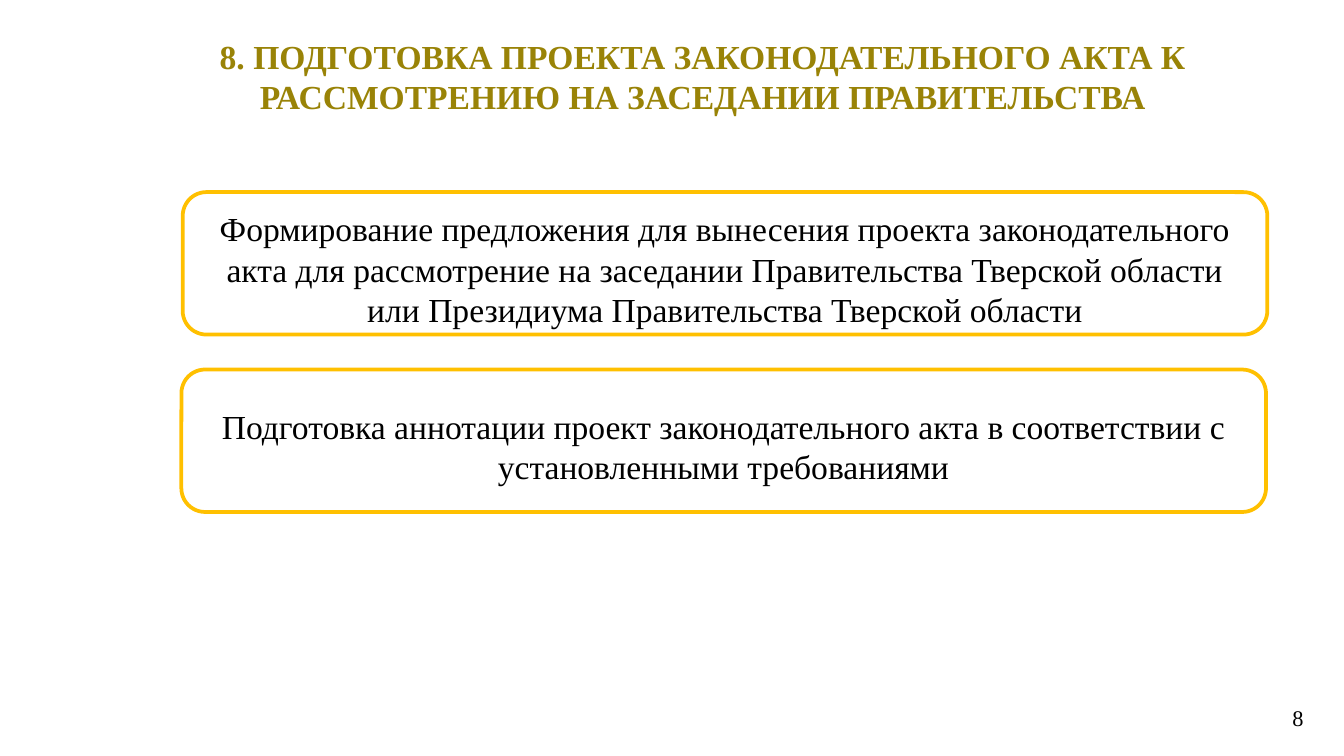
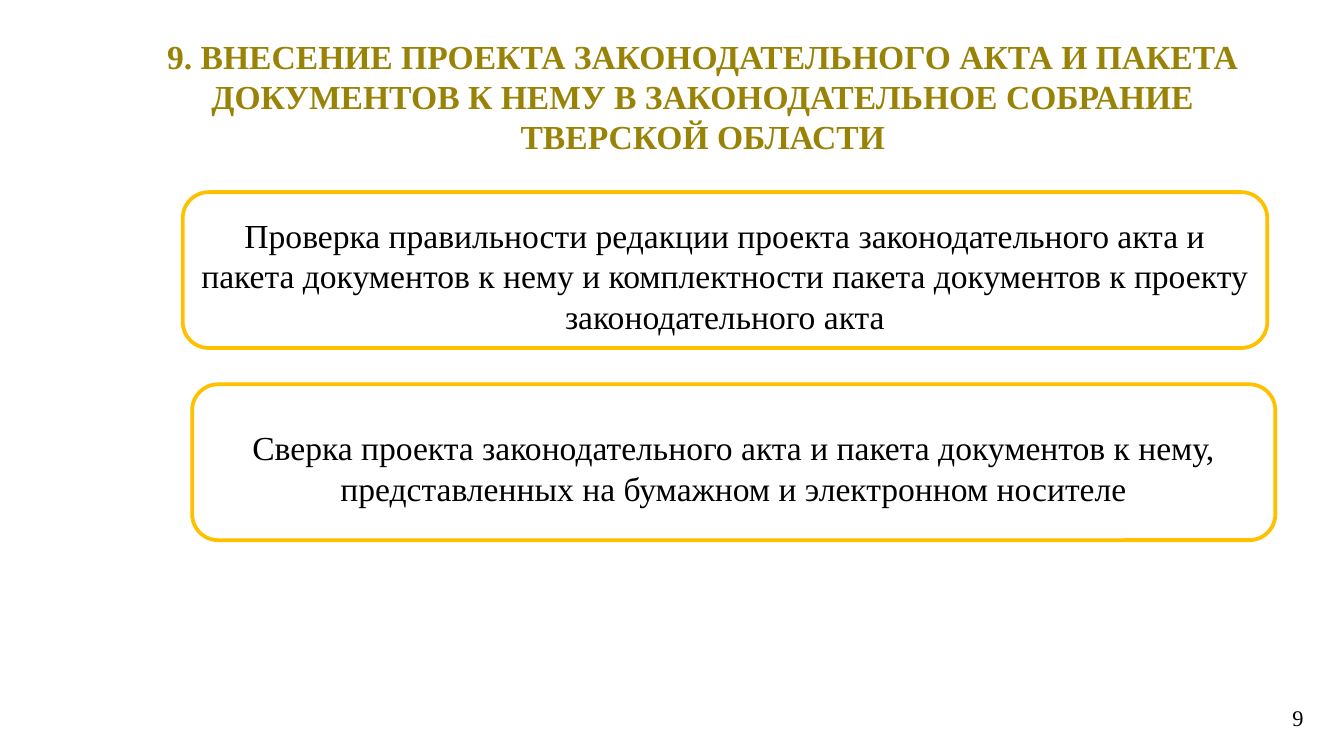
from dataclasses import dataclass

from pptx import Presentation
from pptx.dml.color import RGBColor
from pptx.enum.shapes import MSO_SHAPE
from pptx.enum.text import MSO_ANCHOR as Anchor, MSO_AUTO_SIZE as AutoSize, PP_ALIGN as Align
from pptx.util import Inches, Pt


@dataclass(frozen=True)
class Theme:
    """Colours, type and spacing shared by the slides."""
    font: str = "Times New Roman"
    title_color: RGBColor = RGBColor(0x99, 0x83, 0x07)
    text_color: RGBColor = RGBColor(0, 0, 0)
    border_color: RGBColor = RGBColor(0xFF, 0xC0, 0)
    text_size: Pt = Pt(18)
    number_size: Pt = Pt(12)
    border_width: Pt = Pt(2)
    side_inset: float = 0.07
    inset: float = 0.04


theme = Theme()


def place(shape, left, top, width, height):
    """Move and size a shape, in inches."""
    shape.left, shape.top = Inches(left), Inches(top)
    shape.width, shape.height = Inches(width), Inches(height)


def write(shape, text, size, color, align=Align.CENTER, anchor=Anchor.MIDDLE,
          bold=False, wrap=True, drop=0):
    """Write one styled paragraph; drop is extra inset above the text, in inches."""
    frame = shape.text_frame
    frame.text = text
    frame.word_wrap = wrap
    frame.auto_size = AutoSize.NONE
    frame.vertical_anchor = anchor
    frame.margin_left = frame.margin_right = Inches(theme.side_inset)
    frame.margin_top = Inches(theme.inset + drop)
    frame.margin_bottom = Inches(theme.inset)
    para = frame.paragraphs[0]
    para.alignment = align
    para.font.name = theme.font
    para.font.size = size
    para.font.bold = bold
    para.font.color.rgb = color


# Each page: number, title, extra inset above the title, boxes (place, text)
pages = [
    (8, "8. ПОДГОТОВКА ПРОЕКТА ЗАКОНОДАТЕЛЬНОГО АКТА К РАССМОТРЕНИЮ "
        "НА ЗАСЕДАНИИ ПРАВИТЕЛЬСТВА", 0, [
        ((1.36, 1.43, 8.07, 1.06),
         "Формирование предложения для вынесения проекта законодательного акта "
         "для рассмотрение на заседании Правительства Тверской области "
         "или Президиума Правительства Тверской области"),
        ((1.35, 2.75, 8.07, 1.06),
         "Подготовка аннотации проект законодательного акта в соответствии "
         "с установленными требованиями"),
    ]),
    (9, "9. ВНЕСЕНИЕ ПРОЕКТА ЗАКОНОДАТЕЛЬНОГО АКТА И ПАКЕТА ДОКУМЕНТОВ К НЕМУ "
        "В ЗАКОНОДАТЕЛЬНОЕ СОБРАНИЕ ТВЕРСКОЙ ОБЛАСТИ", 0.3, [
        ((1.36, 1.43, 8.07, 1.16),
         "Проверка правильности редакции проекта законодательного акта и пакета "
         "документов к нему и комплектности пакета документов к проекту "
         "законодательного акта"),
        ((1.43, 2.86, 8.06, 1.16),
         "Сверка проекта законодательного акта и пакета документов к нему, "
         "представленных на бумажном и электронном носителе"),
    ]),
]

deck = Presentation()
deck.slide_width = Inches(10)
deck.slide_height = deck.slide_width * 9 // 16
title_only = deck.slide_layouts[5]

for number, title, title_drop, boxes in pages:
    page = deck.slides.add_slide(title_only)

    heading = page.shapes.title
    place(heading, 0.9, 0.29, 8.66, 0.55)
    write(heading, title, theme.text_size, theme.title_color, bold=True, drop=title_drop)

    page_number = page.shapes.add_textbox(
        Inches(9.54), Inches(5.2), Inches(0.23), Inches(0.34))
    write(page_number, str(number), theme.number_size, theme.text_color,
          align=Align.RIGHT, anchor=Anchor.TOP, wrap=False)

    for bounds, text in boxes:
        box = page.shapes.add_shape(
            MSO_SHAPE.ROUNDED_RECTANGLE, *[Inches(length) for length in bounds])
        box.shadow.inherit = False
        box.fill.background()
        box.line.color.rgb = theme.border_color
        box.line.width = theme.border_width
        write(box, text, theme.text_size, theme.text_color, drop=0.08)

deck.save("out.pptx")
